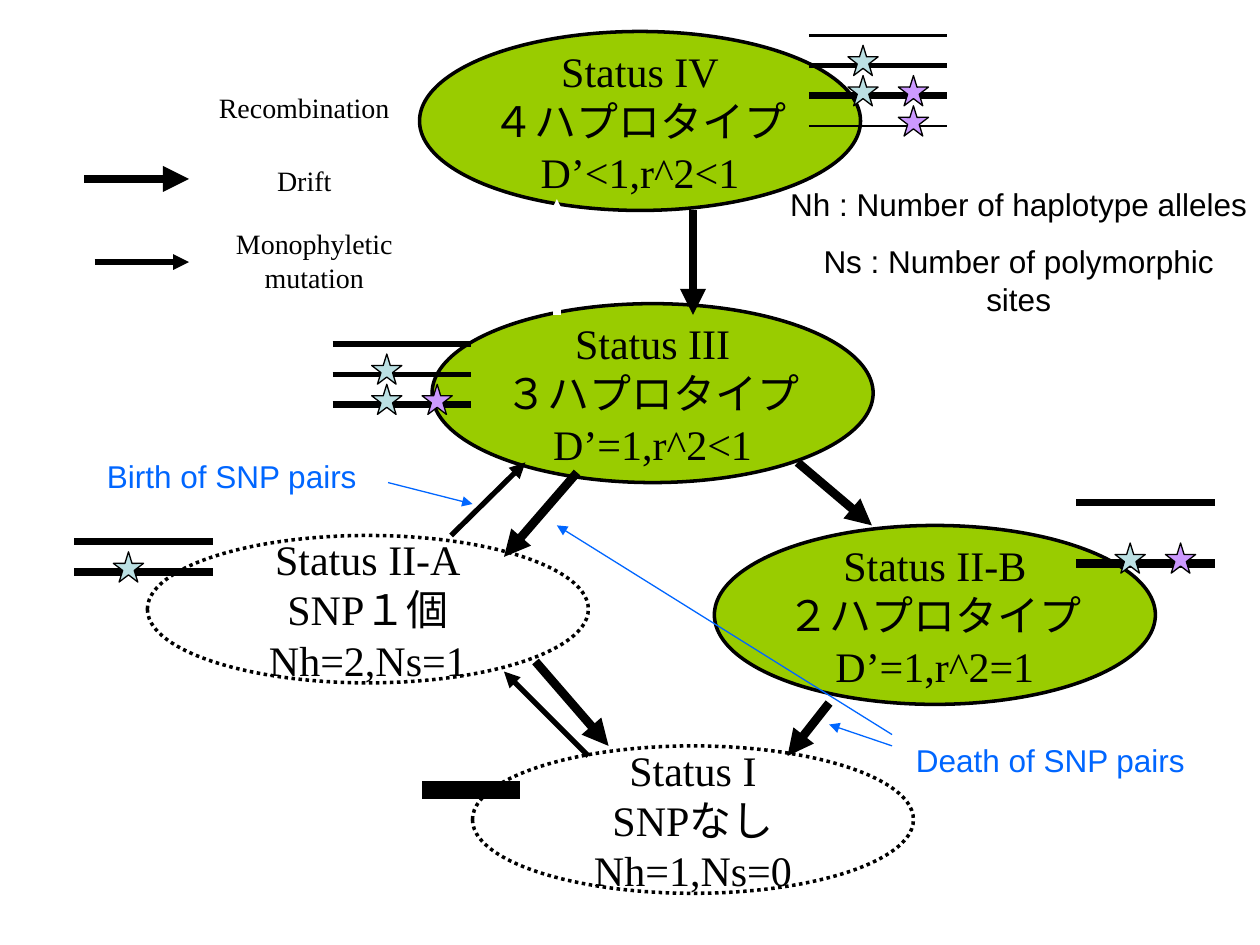
from lxml import etree
from pptx import Presentation
from pptx.dml.color import RGBColor
from pptx.enum.dml import MSO_LINE
from pptx.enum.shapes import MSO_CONNECTOR, MSO_SHAPE
from pptx.enum.text import MSO_ANCHOR, MSO_AUTO_SIZE, PP_ALIGN
from pptx.oxml.ns import qn
from pptx.util import Inches, Pt

ELLIPSE, STAR = MSO_SHAPE.OVAL, MSO_SHAPE.STAR_5_POINT
STRAIGHT = MSO_CONNECTOR.STRAIGHT
DOTTED = MSO_LINE.ROUND_DOT
MIDDLE = MSO_ANCHOR.MIDDLE
GROW = MSO_AUTO_SIZE.SHAPE_TO_FIT_TEXT
LEFT, CENTER = PP_ALIGN.LEFT, PP_ALIGN.CENTER
SERIF, SANS = "Times New Roman", "Arial"
BLACK, WHITE, BLUE, GREEN = "000000", "FFFFFF", "0066FF", "99CC00"
STAR_COLORS = {"A": "BBE0E3", "B": "CC99FF"}
STAR_OFFSETS = {"A": 0.31, "B": 0.71}
STAR_SIZE = 0.24
ROW_STEP = 0.24

STATUSES = [
    (3.33, 0.25, 1.42, GREEN, ["Status IV", "４ハプロタイプ", "D’<1,r^2<1"]),
    (3.75, 5.92, 1.17, None, ["Status I", "SNPなし", "Nh=1,Ns=0"]),
    (1.17, 4.25, 1.17, None, ["Status II-A", "SNP１個", "Nh=2,Ns=1"]),
    (3.43, 2.41, 1.42, GREEN, ["Status III", "３ハプロタイプ", "D’=1,r^2<1"]),
    (5.67, 4.17, 1.42, GREEN, ["Status II-B", "２ハプロタイプ", "D’=1,r^2=1"]),
]

ARROWS = [
    (BLACK, 3, [(3.58, 4.25, 4.17, 3.67), (4.67, 6, 4, 5.33),
                (0.75, 2.08, 1.5, 2.08)]),
    (BLACK, 5, [(5.5, 1.67, 5.5, 2.5), (6.33, 3.67, 6.92, 4.17),
                (4.58, 3.75, 4, 4.42), (4.25, 5.25, 4.83, 5.92),
                (6.58, 5.58, 6.25, 6), (0.67, 1.42, 1.5, 1.42)]),
    (WHITE, 5, [(4.42, 2.5, 4.42, 1.58), (6.17, 4.33, 5.67, 3.83),
                (0.67, 0.83, 1.5, 0.83)]),
    (BLUE, 0.75, [(3.08, 3.83, 3.75, 4), (7.08, 5.83, 4.42, 4.17),
                  (7.08, 5.92, 6.58, 5.75)]),
]

LABELS = [
    (1.5, 0.67, 1.83, 0.37, "Recombination", SERIF, 16, BLACK, CENTER),
    (1.5, 1.25, 1.83, 0.37, "Drift", SERIF, 16, BLACK, CENTER),
    (1.58, 1.75, 1.83, 0.64, "Monophyletic mutation", SERIF, 16, BLACK, CENTER),
    (0.75, 3.58, 2.25, 0.4, "Birth of SNP pairs", SANS, 18, BLUE, LEFT),
    (7.17, 5.83, 2.58, 0.4, "Death of SNP pairs", SANS, 18, BLUE, LEFT),
]

HAPLOTYPES = [
    (2.64, 2.73, [(0, 3, ""), (1, 3, "A"), (2, 4, "BA")]),
    (6.42, 0.28, [(0, 2, ""), (1, 3, "A"), (2, 4, "BA"), (3, 1, "B")]),
    (8.54, 3.99, [(0, 4, ""), (2, 5, "BA")]),
    (0.59, 4.3, [(0, 4, ""), (1, 5, "A")]),
]


def color(value):
    return RGBColor.from_string(value)


def add_text(tf, lines, font, size, text_color, align, gap=0):
    for i, line in enumerate(lines):
        p = tf.paragraphs[0] if i == 0 else tf.add_paragraph()
        p.alignment = align
        if i and gap:
            p.space_before = Pt(gap)
        r = p.add_run()
        r.text = line
        r.font.name = font
        r.font.size = Pt(size)
        r.font.color.rgb = color(text_color)


def add_label(s, x, y, w, h, lines, font, size, text_color, align, gap=0):
    tf = s.shapes.add_textbox(Inches(x), Inches(y), Inches(w), Inches(h)).text_frame
    tf.word_wrap = True
    tf.auto_size = GROW
    add_text(tf, lines, font, size, text_color, align, gap)


def add_outlined(shapes, kind, x, y, w, h, fill, width):
    sp = shapes.add_shape(kind, Inches(x), Inches(y), Inches(w), Inches(h))
    sp.shadow.inherit = False
    if fill:
        sp.fill.solid()
        sp.fill.fore_color.rgb = color(fill)
    else:
        sp.fill.background()
    sp.line.color.rgb = color(BLACK)
    sp.line.width = Pt(width)
    return sp


def add_status(s, x, y, h, fill, lines):
    sp = add_outlined(s.shapes, ELLIPSE, x, y, 3.5, h, fill, 2)
    if not fill:
        sp.line.dash_style = DOTTED
    tf = sp.text_frame
    tf.word_wrap = False
    tf.vertical_anchor = MIDDLE
    add_text(tf, lines, SERIF, 24, BLACK, CENTER)


def add_line(shapes, x1, y1, x2, y2, line_color, width, arrow=False):
    line = shapes.add_connector(STRAIGHT, Inches(x1), Inches(y1), Inches(x2), Inches(y2))
    line.line.color.rgb = color(line_color)
    line.line.width = Pt(width)
    if arrow:
        etree.SubElement(line.line._get_or_add_ln(), qn("a:tailEnd"), type="triangle")
    etree.SubElement(line._element.spPr, qn("a:effectLst"))


def add_haplotypes(s, x, y, rows):
    shapes = s.shapes.add_group_shape().shapes
    for row, width, stars in rows:
        line_y = y + row * ROW_STEP
        add_line(shapes, x, line_y, x + 1.1, line_y, BLACK, width)
        for star in stars:
            add_outlined(shapes, STAR, x + STAR_OFFSETS[star], line_y - 0.16,
                         STAR_SIZE, STAR_SIZE, STAR_COLORS[star], 0.75)


def main():
    prs = Presentation()
    prs.slide_width, prs.slide_height = Inches(10), Inches(7.5)
    s = prs.slides.add_slide(prs.slide_layouts[6])

    add_label(s, 6.17, 1.42, 3.83, 1.16,
              ["Nh : Number of haplotype alleles", "Ns : Number of polymorphic sites"],
              SANS, 18, BLACK, CENTER, 11.2)
    for status in STATUSES:
        add_status(s, *status)
    for line_color, width, routes in ARROWS:
        for route in routes:
            add_line(s.shapes, *route, line_color, width, arrow=True)
    for x, y, w, h, text, *style in LABELS:
        add_label(s, x, y, w, h, [text], *style)
    for haplotypes in HAPLOTYPES:
        add_haplotypes(s, *haplotypes)
    add_line(s.shapes, 3.35, 6.27, 4.13, 6.27, BLACK, 10)

    prs.save("out.pptx")


if __name__ == "__main__":
    main()
